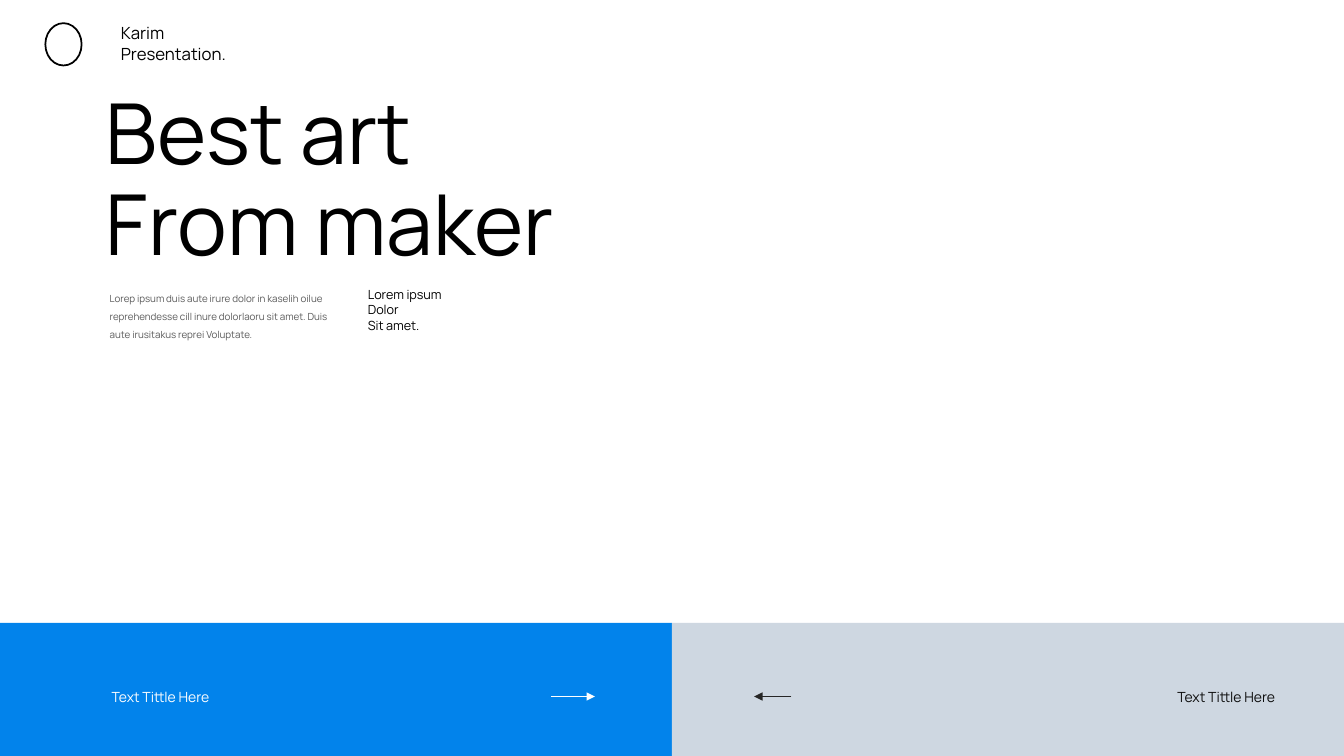
import pptx
import pptx.dml.color
import pptx.enum.shapes
import pptx.enum.text
import pptx.oxml
import pptx.oxml.ns
import pptx.util
from dataclasses import dataclass

Inches = pptx.util.Inches


@dataclass(frozen=True)
class Theme:
    font: str = "Manrope"
    blue: str = "0283EB"
    mist: str = "CED7E1"
    black: str = "000000"
    white: str = "FFFFFF"
    grey: str = "595959"
    ink: str = "0D0D0D"
    arrow: str = "262626"
    title: int = 60
    brand: int = 12
    label: int = 10
    note: int = 9
    body: int = 7


theme = Theme()


def rgb(value):
    return pptx.dml.color.RGBColor.from_string(value)


def write(box, place, lines, size, color, spacing=1.0, wrap=True):
    box.left, box.top, box.width, box.height = (Inches(n) for n in place)
    frame = box.text_frame
    frame.word_wrap = wrap
    frame.auto_size = pptx.enum.text.MSO_AUTO_SIZE.SHAPE_TO_FIT_TEXT
    frame.vertical_anchor = pptx.enum.text.MSO_ANCHOR.TOP
    for index, line in enumerate(lines):
        para = frame.add_paragraph() if index else frame.paragraphs[0]
        para.alignment = pptx.enum.text.PP_ALIGN.LEFT
        para.line_spacing = spacing
        span = para.add_run()
        span.text = line
        span.font.name = theme.font
        span.font.size = pptx.util.Pt(size)
        span.font.color.rgb = rgb(color)


deck = pptx.Presentation()
deck.slide_width, deck.slide_height = Inches(13.33), Inches(7.5)
page = deck.slides.add_slide(deck.slide_layouts[5])

# Title
write(page.shapes.title, (0.95, 0.86, 5.4, 1.93), ["Best art", "From maker"],
      theme.title, theme.black, spacing=0.9, wrap=False)

# Bottom panels, each with a label and an arrow
half = 13.33 / 2
panels = [
    (0, theme.blue, 1.01, theme.white, (5.47, 5.9), theme.white),
    (half, theme.mist, 11.58, theme.ink, (7.85, 7.48), theme.arrow),
]
for left, fill, label_left, label_color, (start, end), arrow_color in panels:
    panel = page.shapes.add_shape(
        pptx.enum.shapes.MSO_SHAPE.RECTANGLE,
        Inches(left), Inches(6.18), Inches(half), Inches(1.32))
    panel.shadow.inherit = False
    panel.fill.solid()
    panel.fill.fore_color.rgb = rgb(fill)
    panel.line.fill.background()

    write(page.shapes.add_textbox(0, 0, 0, 0), (label_left, 6.78, 1.23, 0.27),
          ["Text Tittle Here"], theme.label, label_color, wrap=False)

    arrow = page.shapes.add_connector(
        pptx.enum.shapes.MSO_CONNECTOR.STRAIGHT,
        Inches(start), Inches(6.91), Inches(end), Inches(6.91))
    arrow.line.color.rgb = rgb(arrow_color)
    arrow.line.width = pptx.util.Pt(0.5)
    head = pptx.oxml.parse_xml(
        f'<a:tailEnd {pptx.oxml.ns.nsdecls("a")} type="triangle"/>')
    arrow.line._get_or_add_ln().append(head)
    arrow._element.spPr.append(
        pptx.oxml.parse_xml(f'<a:effectLst {pptx.oxml.ns.nsdecls("a")}/>'))

# Header, body and side note
body = ("Lorep ipsum duis aute irure dolor in kaselih oilue reprehendesse cill inure "
        "dolorlaoru sit amet. Duis aute irusitakus reprei Voluptate.")
texts = [
    ((1.1, 0.18, 1.31, 0.5), ["Karim", "Presentation."], theme.brand, theme.black, 1.0, True),
    ((0.99, 2.8, 2.5, 0.61), [body], theme.body, theme.grey, 1.5, True),
    ((3.55, 2.8, 1.03, 0.56), ["Lorem ipsum", "Dolor", "Sit amet."],
     theme.note, theme.black, 1.0, False),
]
for place, lines, size, color, spacing, wrap in texts:
    write(page.shapes.add_textbox(0, 0, 0, 0), place, lines, size, color, spacing, wrap)

# Plain emblem beside the header
emblem = page.shapes.add_shape(
    pptx.enum.shapes.MSO_SHAPE.OVAL,
    Inches(0.45), Inches(0.23), Inches(0.36), Inches(0.42))
emblem.shadow.inherit = False
emblem.fill.background()
emblem.line.color.rgb = rgb(theme.black)
emblem.line.width = pptx.util.Pt(1.25)

deck.save("out.pptx")
